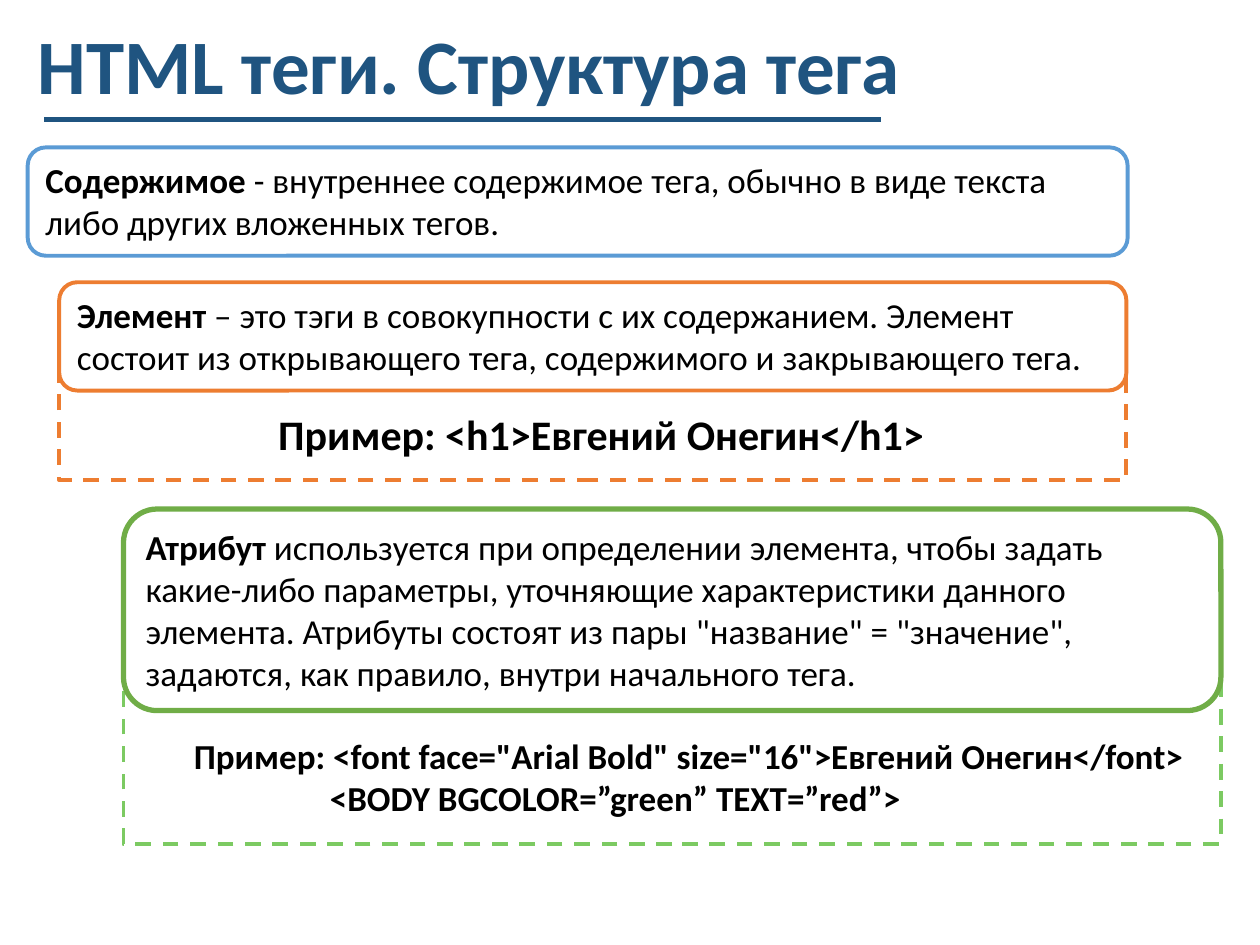
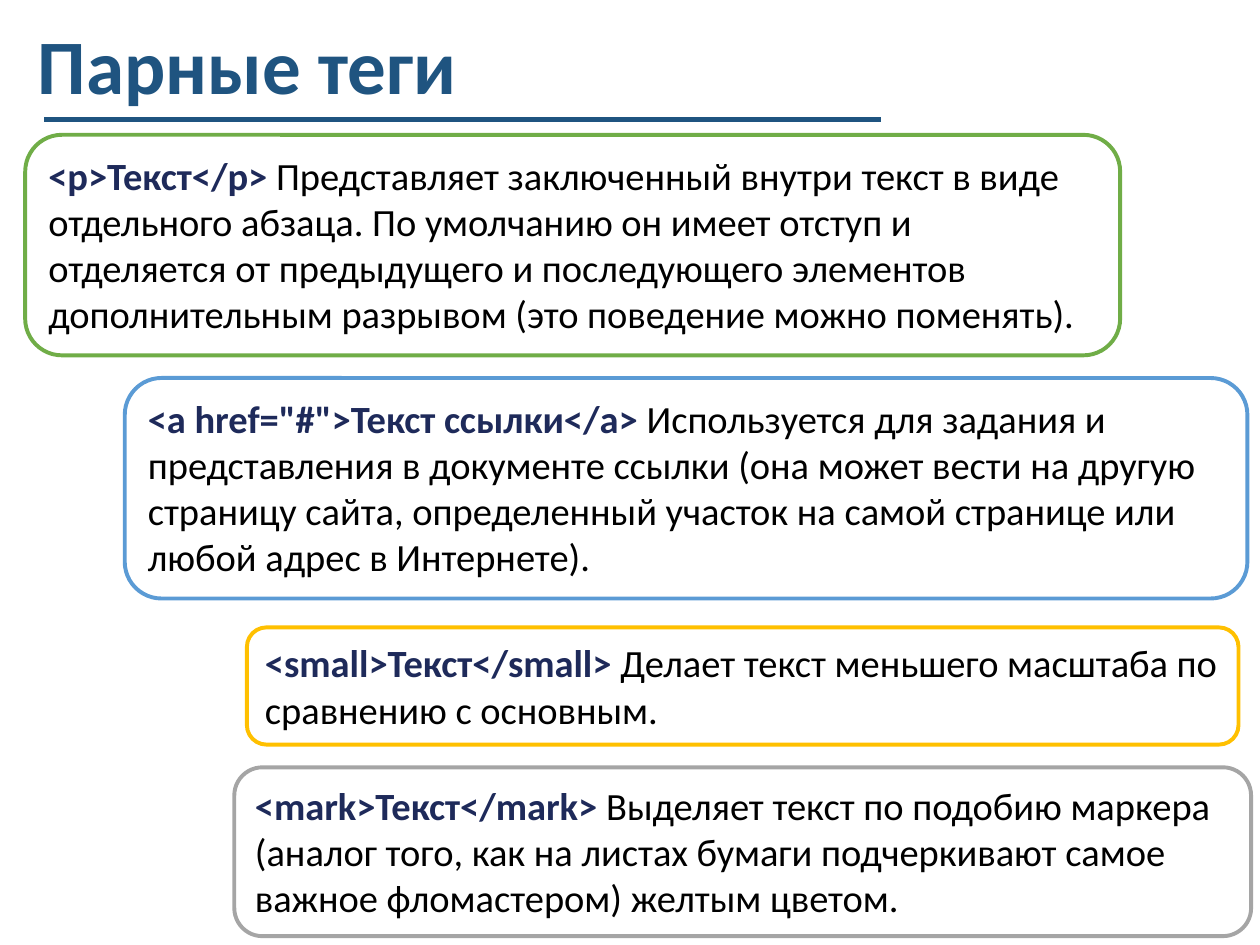
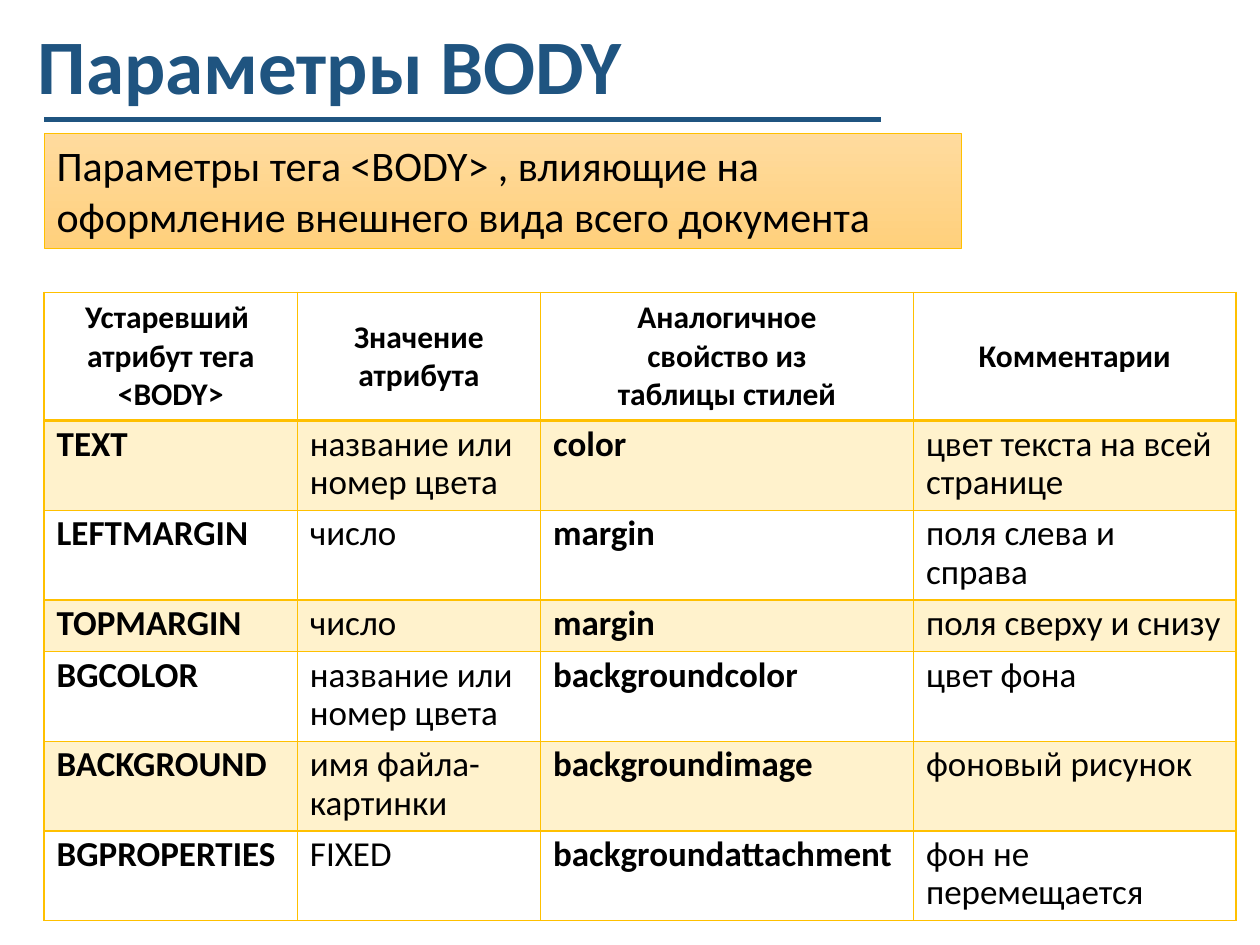
from lxml import etree
from pptx import Presentation
from pptx.dml.color import RGBColor
from pptx.enum.dml import MSO_LINE
from pptx.enum.shapes import MSO_CONNECTOR, MSO_SHAPE
from pptx.enum.text import MSO_ANCHOR, MSO_AUTO_SIZE, PP_ALIGN
from pptx.oxml.ns import qn
from pptx.util import Inches, Pt

RECT, ROUND = MSO_SHAPE.RECTANGLE, MSO_SHAPE.ROUNDED_RECTANGLE
LINE, DASH = MSO_CONNECTOR.STRAIGHT, MSO_LINE.DASH
LEFT, CENTER = PP_ALIGN.LEFT, PP_ALIGN.CENTER
TOP, MIDDLE = MSO_ANCHOR.TOP, MSO_ANCHOR.MIDDLE
GROW, FIXED = MSO_AUTO_SIZE.SHAPE_TO_FIT_TEXT, MSO_AUTO_SIZE.NONE
TITLE_ONLY = 5

COLORS = {
    "title": "1F5480", "text": "000000", "tag": "1E2A5A", "paper": "FFFFFF",
    "blue": "5B9BD5", "orange": "ED7D31", "green": "70AD47", "lime": "7CCA62",
    "gold": "FFC000", "gray": "A5A5A5", "light": "FFDB9E", "deep": "FFD07C",
}


def rgb(name):
    return RGBColor.from_string(COLORS[name])


class Deck:
    """Holds the shared style and the current slide."""

    font = "Calibri"

    def __init__(self):
        self.prs = Presentation()
        self.prs.slide_width, self.prs.slide_height = Inches(10), Inches(7.5)
        self.slide = None

    def start(self, title):
        """Add a slide with its title and the rule below it."""
        self.slide = self.prs.slides.add_slide(self.prs.slide_layouts[TITLE_ONLY])
        head = self.slide.shapes.title
        place = {"left": 0.2, "top": -0.17, "width": 8.62, "height": 1.45}
        for key, value in place.items():
            setattr(head, key, Inches(value))
        frame = head.text_frame
        frame.auto_size, frame.vertical_anchor = FIXED, MIDDLE
        self.put(frame.paragraphs[0], [(title, True, "title")], 44, spacing=0.9)
        self.rule(0.35, 0.95, 6.99)

    def rule(self, left, top, right):
        rule = self.slide.shapes.add_connector(
            LINE, Inches(left), Inches(top), Inches(right), Inches(top))
        self.edge(rule, "title", 3)
        etree.SubElement(rule._element.spPr, qn("a:effectLst"))

    def edge(self, shape, color, width):
        shape.line.color.rgb = rgb(color)
        shape.line.width = Pt(width)

    def put(self, para, runs, size, align=LEFT, spacing=None):
        """Fill a paragraph with (text, bold, color) runs."""
        para.alignment, para.line_spacing = align, spacing
        for text, bold, color in runs:
            run = para.add_run()
            run.text = text
            look = {"name": self.font, "size": Pt(size), "bold": bold}
            for key, value in look.items():
                setattr(run.font, key, value)
            run.font.color.rgb = rgb(color)

    def box(self, kind, at, color, width=2.25, fill="paper"):
        shape = self.slide.shapes.add_shape(kind, *map(Inches, at))
        shape.shadow.inherit = False
        self.edge(shape, color, width)
        if fill:
            shape.fill.solid()
            shape.fill.fore_color.rgb = rgb(fill)
        else:
            shape.fill.background()
        return shape

    def frame(self, at, color, fill="paper"):
        """Dashed frame around an example."""
        self.box(RECT, at, color, fill=fill).line.dash_style = DASH

    def card(self, at, color, term, text, size=20, tone="text", width=2.25):
        """Rounded box with a bold term and its meaning."""
        shape = self.box(ROUND, at, color, width)
        self.fit(shape.text_frame)
        runs = [(term, True, tone), (text, False, "text")]
        self.put(shape.text_frame.paragraphs[0], runs, size)

    def fit(self, frame, wrap=True):
        look = {"word_wrap": wrap, "auto_size": GROW, "vertical_anchor": TOP}
        for key, value in look.items():
            setattr(frame, key, value)

    def sample(self, at, lines, size, wrap=True):
        """Bold lines of (text, indent)."""
        frame = self.slide.shapes.add_textbox(*map(Inches, at)).text_frame
        self.fit(frame, wrap)
        for i, (text, indent) in enumerate(lines):
            para = frame.add_paragraph() if i else frame.paragraphs[0]
            self.put(para, [(text, True, "text")], size)
            if indent:
                para._p.get_or_add_pPr().set("marL", str(Inches(indent)))

    def banner(self, at, text):
        shape = self.box(RECT, at, "gold", 0.5)
        shape.fill.gradient()
        shape.fill.gradient_angle = 270
        for stop, color in zip(shape.fill.gradient_stops, ("light", "deep")):
            stop.color.rgb = rgb(color)
        self.fit(shape.text_frame)
        self.put(shape.text_frame.paragraphs[0], [(text, False, "text")], 24)

    def borders(self, cell, head):
        props = cell._tc.get_or_add_tcPr()
        for side in "LRTB":
            width = 2 if head and side == "B" else 1
            line = etree.SubElement(props, qn("a:ln" + side), w=str(Pt(width)))
            fill = etree.SubElement(line, qn("a:solidFill"))
            etree.SubElement(fill, qn("a:srgbClr"), val=COLORS["gold"])

    def shade(self, cell, band):
        cell.fill.solid()
        cell.fill.fore_color.rgb = rgb("gold" if band else "paper")
        if band:
            tint = cell._tc.tcPr.find(qn("a:solidFill"))[0]
            etree.SubElement(tint, qn("a:alpha"), val="20000")

    def table(self, at, cols, heights, rows):
        """Banded table; the first row is the head."""
        size = sum(cols), sum(heights)
        table = self.slide.shapes.add_table(
            len(rows), len(cols), *map(Inches, at + size)).table
        table.first_row = table.horz_banding = False
        for col, width in zip(table.columns, cols):
            col.width = Inches(width)
        for r, (row, height) in enumerate(zip(rows, heights)):
            table.rows[r].height = Inches(height)
            head = r == 0
            for c, text in enumerate(row):
                cell = table.cell(r, c)
                self.borders(cell, head)
                self.shade(cell, r % 2 == 1)
                cell.vertical_anchor = MIDDLE if head else TOP
                for i, part in enumerate(text.split("\n")):
                    frame = cell.text_frame
                    para = frame.add_paragraph() if i else frame.paragraphs[0]
                    self.put(para, [(part, head or c % 2 == 0, "text")],
                             18 if head else 20, CENTER if head else LEFT, Pt(22))


def main():
    deck = Deck()

    # Tag structure
    deck.start("HTML теги. Структура тега")
    deck.card((0.22, 1.17, 8.73, 0.86), "blue", "Содержимое",
              " - внутреннее содержимое тега, обычно в виде текста "
              "либо других вложенных тегов.")
    deck.frame((0.47, 2.46, 8.47, 1.35), "orange")
    deck.card((0.47, 2.24, 8.47, 0.86), "orange", "Элемент",
              " – это тэги в совокупности с их содержанием. Элемент состоит "
              "из открывающего тега, содержимого и закрывающего тега.")
    deck.sample((2.11, 3.19, 5.39, 0.5),
                [("Пример: <h1>Евгений Онегин</h1>", 0)], 24, wrap=False)
    deck.frame((0.98, 4.64, 8.71, 2.06), "lime", fill=None)
    deck.sample((1.44, 5.78, 8.15, 0.77), [
        ('Пример: <font face="Arial Bold" size="16">Евгений Онегин</font>', 0),
        ("<BODY BGCOLOR=”green” TEXT=”red”>", 1.08)], 20)
    deck.card((0.98, 4.04, 8.71, 1.6), "green", "Атрибут",
              " используется при определении элемента, чтобы задать какие-либо "
              "параметры, уточняющие характеристики данного элемента. Атрибуты "
              'состоят из пары "название" = "значение", задаются, как правило, '
              "внутри начального тега.", width=3)

    # Paired tags
    deck.start("Парные теги")
    pairs = [
        ((0.2, 1.07, 8.69, 1.75), "green", "<p>Текст</p> ",
         "Представляет заключенный внутри текст в виде отдельного абзаца. По "
         "умолчанию он имеет отступ и отделяется от предыдущего и последующего "
         "элементов дополнительным разрывом (это поведение можно поменять)."),
        ((1.86, 6.09, 8.07, 1.34), "gray", "<mark>Текст</mark> ",
         "Выделяет текст по подобию маркера (аналог того, как на листах бумаги "
         "подчеркивают самое важное фломастером) желтым цветом."),
        ((1.96, 4.98, 7.87, 0.93), "gold", "<small>Текст</small> ",
         "Делает текст меньшего масштаба по сравнению с основным."),
        ((0.99, 3, 8.91, 1.75), "blue", '<a href="#">Текст ссылки</a> ',
         "Используется для задания и представления в документе ссылки (она "
         "может вести на другую страницу сайта, определенный участок на самой "
         "странице или любой адрес в Интернете)."),
    ]
    for pair in pairs:
        deck.card(*pair, size=22, tone="tag")

    # BODY attributes
    deck.start("Параметры BODY")
    deck.banner((0.35, 1.06, 7.28, 0.91),
                "Параметры тега <BODY> , влияющие на оформление внешнего вида "
                "всего документа")
    rows = [
        ("Устаревший \nатрибут тега\n<BODY>", "Значение\nатрибута",
         "Аналогичное\nсвойство из\nтаблицы стилей", "Комментарии"),
        ("TEXT", "название или номер цвета", "color",
         "цвет текста на всей странице"),
        ("LEFTMARGIN", "число", "margin", "поля слева и справа"),
        ("TOPMARGIN", "число", "margin", "поля сверху и снизу"),
        ("BGCOLOR", "название или номер цвета", "backgroundcolor", "цвет фона"),
        ("BACKGROUND", "имя файла-картинки", "backgroundimage",
         "фоновый рисунок"),
        ("BGPROPERTIES", "FIXED", "backgroundattachment",
         "фон не перемещается"),
    ]
    heights = (1.02, 0.71, 0.71, 0.41, 0.71, 0.71, 0.71)
    deck.table((0.35, 2.32), (2.01, 1.93, 2.96, 2.56), heights, rows)

    deck.prs.save("out.pptx")


if __name__ == "__main__":
    main()
